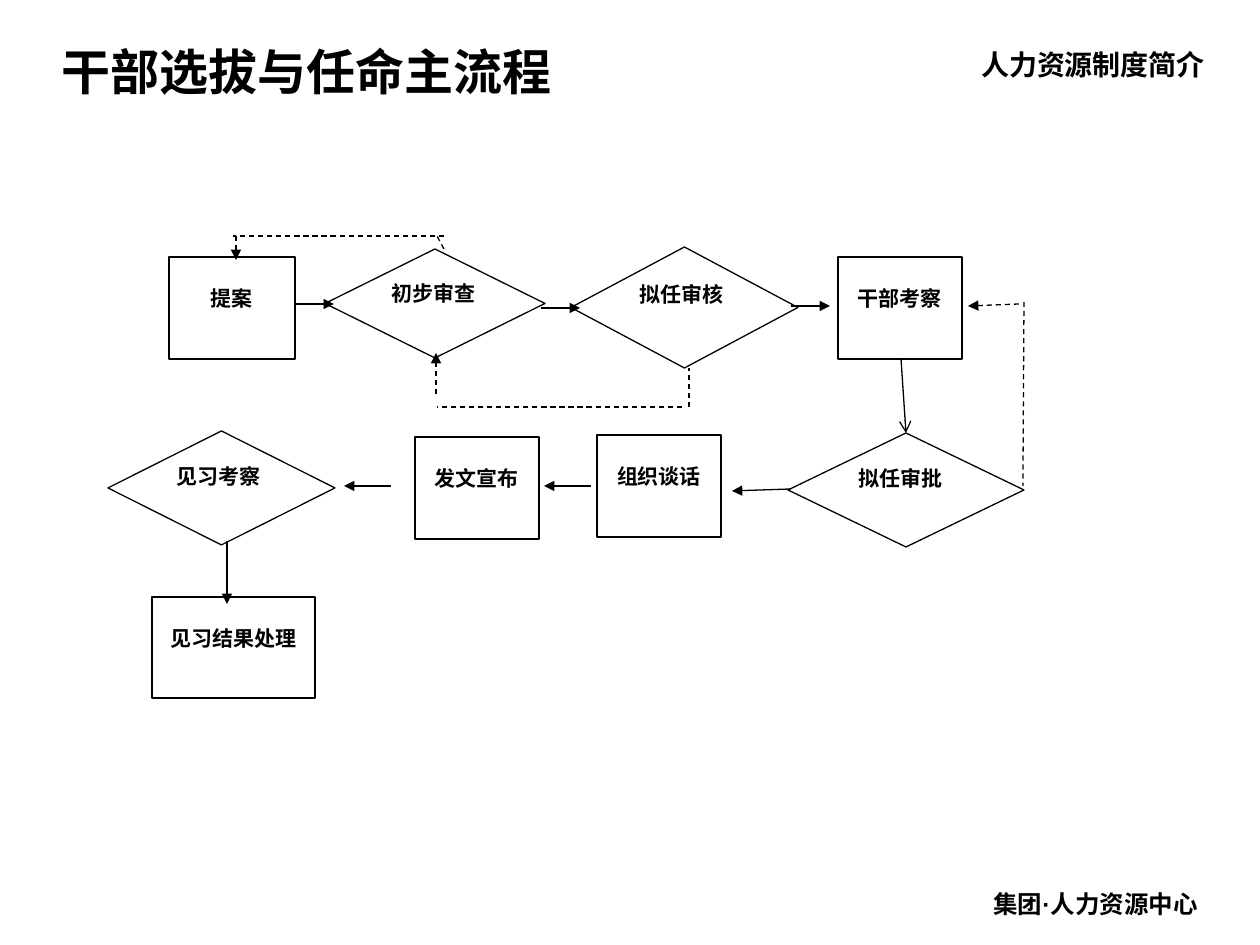
from pptx import Presentation
from pptx.dml.color import RGBColor
from pptx.enum.dml import MSO_LINE
from pptx.enum.shapes import MSO_CONNECTOR, MSO_SHAPE
from pptx.enum.text import MSO_ANCHOR, PP_ALIGN
from pptx.oxml.ns import qn
from pptx.util import Emu, Pt
from lxml.etree import SubElement

PX = 914400 // 126
BLACK, WHITE = "000000", "FFFFFF"
CJK, LATIN = "Noto Sans CJK SC", "Arial"

HEADINGS = [
    (["干部选拔与任命主流程"], (49, 29, 1134, 84), 28, PP_ALIGN.LEFT, MSO_ANCHOR.MIDDLE),
    (["人力资源制度简介"], (965, 42, 256, 47), 16, PP_ALIGN.CENTER, MSO_ANCHOR.TOP),
    (["集团", "·", "人力资源中心"], (581, 883, 630, 43), 14, PP_ALIGN.RIGHT, MSO_ANCHOR.TOP),
]
TASKS = [
    ("提案", (169, 257, 126, 102)),
    ("干部考察", (838, 257, 124, 102)),
    ("组织谈话", (597, 435, 124, 102)),
    ("发文宣布", (415, 437, 124, 102)),
    ("见习结果处理", (152, 597, 163, 101)),
]
REVIEWS = [
    ("初步审查", (325, 249, 220, 109)),
    ("拟任审核", (571, 247, 227, 121)),
    ("拟任审批", (788, 433, 236, 114)),
    ("见习考察", (108, 431, 227, 114)),
]
FORWARD = [
    (295, 304, 334, 304), (541, 308, 580, 308), (791, 306, 830, 306),
    (791, 489, 732, 491), (591, 486, 544, 486), (391, 486, 344, 486),
    (227, 541, 227, 604),
]
APPROVAL = [(901, 358, 906, 433)]
RETURN_LINES = [
    (444, 249, 437, 236), (444, 236, 233, 236), (689, 407, 689, 368),
    (682, 407, 437, 407), (1024, 302, 1023, 486),
]
RETURN_ARROWS = [(236, 236, 236, 260), (436, 394, 436, 353), (1019, 304, 968, 306)]
LINKS = [
    (FORWARD, False, "triangle"),
    (APPROVAL, False, "arrow"),
    (RETURN_LINES, True, None),
    (RETURN_ARROWS, True, "triangle"),
]


def px(values):
    return [Emu(value * PX) for value in values]


def color(code):
    return RGBColor.from_string(code)


def write(frame, parts, size, align, anchor, insets):
    frame.word_wrap = True
    frame.vertical_anchor = anchor
    (frame.margin_left, frame.margin_top,
     frame.margin_right, frame.margin_bottom) = px(insets)
    para = frame.paragraphs[0]
    para.alignment = align
    for part in parts:
        span = para.add_run()
        span.text = part
        font = span.font
        font.size, font.bold = Pt(size), True
        font.color.rgb = color(BLACK)
        font.name = LATIN if part == "·" else CJK
        SubElement(font._element, qn("a:ea")).set("typeface", font.name)


def add_node(page, kind, label, place, align, insets):
    node = page.shapes.add_shape(kind, *px(place))
    node.shadow.inherit = False
    node.fill.solid()
    node.fill.fore_color.rgb = color(WHITE)
    node.line.color.rgb = color(BLACK)
    node.line.width = Pt(0.75)
    write(node.text_frame, [label], 12, align, MSO_ANCHOR.TOP, insets)


def add_link(page, ends, dashed, head):
    link = page.shapes.add_connector(MSO_CONNECTOR.STRAIGHT, *px(ends))
    link.line.color.rgb = color(BLACK)
    link.line.width = Pt(0.75)
    if dashed:
        link.line.dash_style = MSO_LINE.DASH
    if head:
        SubElement(link.line._get_or_add_ln(), qn("a:tailEnd")).set("type", head)
    SubElement(link._element.spPr, qn("a:effectLst"))


def main():
    """Build the cadre selection and appointment flow slide."""
    deck = Presentation()
    deck.slide_width, deck.slide_height = px((1260, 945))
    page = deck.slides.add_slide(deck.slide_layouts[6])
    for parts, place, size, align, anchor in HEADINGS:
        box = page.shapes.add_textbox(*px(place))
        write(box.text_frame, parts, size, align, anchor, (13, 6, 13, 6))
    for label, place in TASKS:
        add_node(page, MSO_SHAPE.RECTANGLE, label, place, PP_ALIGN.CENTER, (12, 29, 12, 6))
    for label, place in REVIEWS:
        add_node(page, MSO_SHAPE.DIAMOND, label, place, PP_ALIGN.LEFT, (12, 4, 0, 4))
    for links, dashed, head in LINKS:
        for ends in links:
            add_link(page, ends, dashed, head)
    deck.save("out.pptx")


if __name__ == "__main__":
    main()
